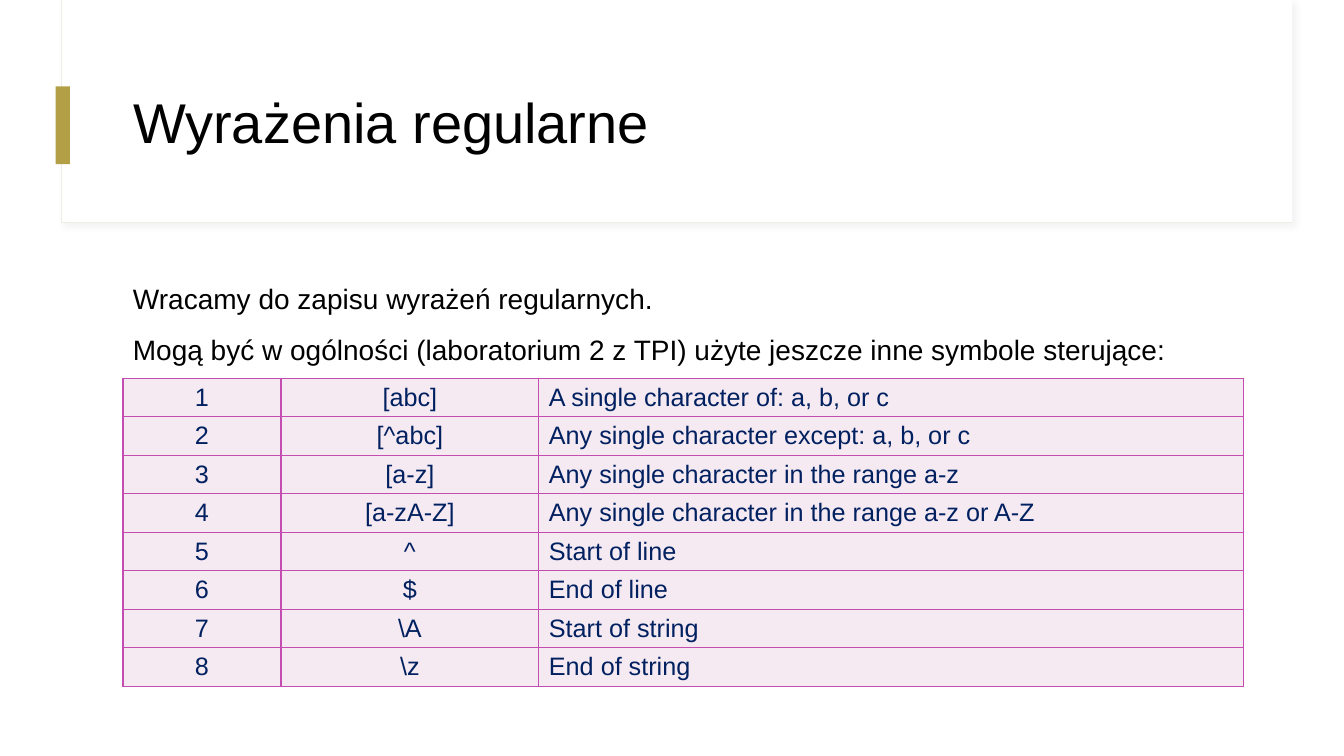
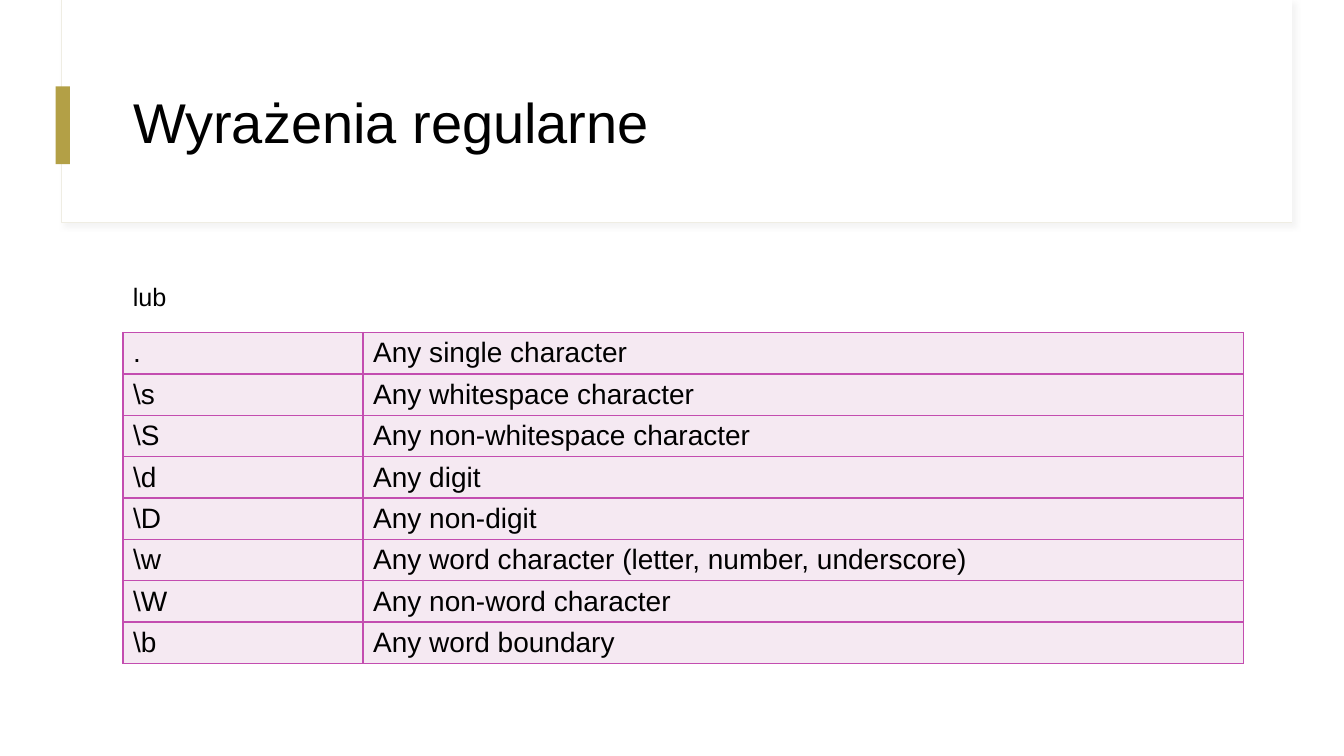
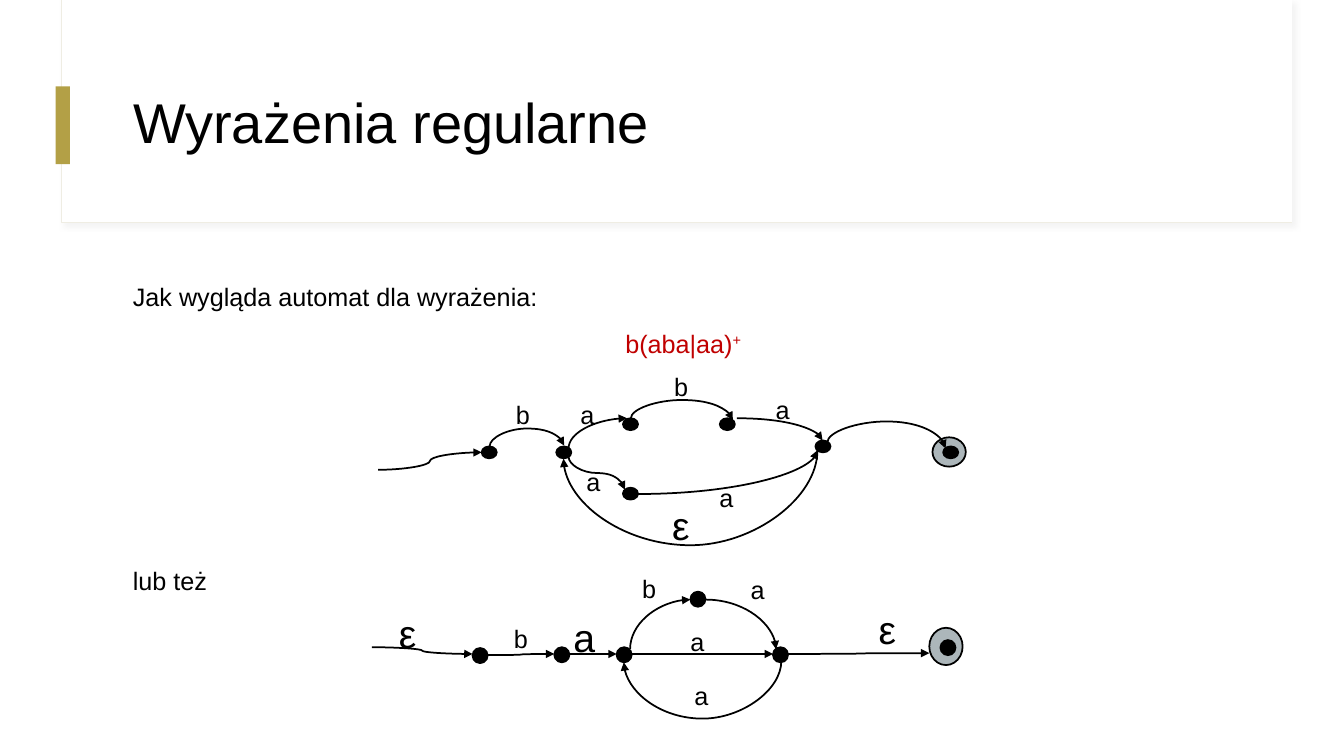
import dataclasses

import pptx
import pptx.dml.color
import pptx.enum.shapes
import pptx.enum.text
import pptx.oxml
import pptx.oxml.ns
import pptx.util

Cm = pptx.util.Cm
Pt = pptx.util.Pt
Align = pptx.enum.text.PP_ALIGN
Preset = pptx.enum.shapes.MSO_SHAPE
qn = pptx.oxml.ns.qn
DRAWING = 'xmlns:a="http://schemas.openxmlformats.org/drawingml/2006/main"'


@dataclasses.dataclass(frozen=True)
class Theme:
    font: str = "Arial"
    black: str = "000000"
    white: str = "FFFFFF"
    navy: str = "002060"
    red: str = "C00000"
    gold: str = "B3A046"
    frame: str = "EFEDE3"
    shadow: str = "D9D9D9"
    state: str = "ACB6BA"
    cell: str = "F5E9F2"
    border: str = "C34DB0"
    title: int = 40
    symbol: int = 28
    large: int = 20
    normal: int = 18


theme = Theme()


def write_run(paragraph, text, size, color):
    run = paragraph.add_run()
    run.text = text
    run.font.name = theme.font
    run.font.size = Pt(size)
    run.font.color.rgb = pptx.dml.color.RGBColor.from_string(color)
    return run


def add_solid(slide, preset, box, fill, line=None, line_width=1.25):
    """Add a flat shape; box is left, top, width and height in centimetres."""
    shape = slide.shapes.add_shape(preset, *(Cm(length) for length in box))
    shape.shadow.inherit = False
    shape.fill.solid()
    shape.fill.fore_color.rgb = pptx.dml.color.RGBColor.from_string(fill)
    if line:
        shape.line.color.rgb = pptx.dml.color.RGBColor.from_string(line)
        shape.line.width = Pt(line_width)
    else:
        shape.line.fill.background()
    return shape


presentation = pptx.Presentation()
presentation.slide_width = Cm(33.87)
presentation.slide_height = Cm(19.05)
layout = presentation.slide_layouts[5]
slides = [presentation.slides.add_slide(layout) for _ in range(3)]
symbols_slide, classes_slide, automaton_slide = slides

# Shared header: drawn once, then moved to the layout
frame = add_solid(symbols_slide, Preset.RECTANGLE, (1.55, 0, 31.01, 5.61),
                  theme.white, theme.frame, 0.75)
effects = frame._element.spPr.find(qn("a:effectLst"))
effects.append(pptx.oxml.parse_xml(
    f'<a:outerShdw {DRAWING} blurRad="{Pt(4)}" dist="{Pt(3)}" dir="2700000">'
    f'<a:srgbClr val="{theme.shadow}"><a:alpha val="30000"/></a:srgbClr></a:outerShdw>'))
panel = add_solid(symbols_slide, Preset.RECTANGLE, (1.57, 0, 30.99, 5.59), theme.white)
accent = add_solid(symbols_slide, Preset.RECTANGLE, (1.4, 2.18, 0.36, 1.96), theme.gold)
for position, shape in enumerate((frame, panel, accent), start=2):
    layout.shapes._spTree.insert(position, shape._element)

for slide in slides:
    title = slide.shapes.title
    title.left, title.top, title.width, title.height = Cm(3.1), Cm(1.52), Cm(28.24), Cm(3.28)
    title.text_frame.vertical_anchor = pptx.enum.text.MSO_ANCHOR.MIDDLE
    paragraph = title.text_frame.paragraphs[0]
    paragraph.alignment = Align.LEFT
    paragraph.line_spacing = 0.9
    write_run(paragraph, "Wyrażenia regularne", theme.title, theme.black)

# Tables: slide, top, row height, column widths, alignments, size, colour, rows
tables = [
    (symbols_slide, 9.53, 0.97, (3.98, 6.5, 17.76), (Align.CENTER, Align.CENTER, Align.LEFT),
     theme.normal, theme.navy, [
        ("1", "[abc]", "A single character of: a, b, or c"),
        ("2", "[^abc]", "Any single character except: a, b, or c"),
        ("3", "[a-z]", "Any single character in the range a-z"),
        ("4", "[a-zA-Z]", "Any single character in the range a-z or A-Z"),
        ("5", "^", "Start of line"),
        ("6", "$", "End of line"),
        ("7", "\\A", "Start of string"),
        ("8", "\\z", "End of string"),
    ]),
    (classes_slide, 8.38, 1.04, (6.05, 22.19), (Align.LEFT, Align.LEFT),
     theme.large, theme.black, [
        (".", "Any single character"),
        ("\\s", "Any whitespace character"),
        ("\\S", "Any non-whitespace character"),
        ("\\d", "Any digit"),
        ("\\D", "Any non-digit"),
        ("\\w", "Any word character (letter, number, underscore)"),
        ("\\W", "Any non-word character"),
        ("\\b", "Any word boundary"),
    ]),
]
for slide, top, row_height, widths, alignments, size, color, rows in tables:
    table = slide.shapes.add_table(len(rows), len(widths), Cm(3.1), Cm(top), Cm(sum(widths)),
                                   Cm(row_height * len(rows))).table
    table.first_row = table.horz_banding = False
    for column, width in zip(table.columns, widths):
        column.width = Cm(width)
    for row, texts in zip(table.rows, rows):
        row.height = Cm(row_height)
        for cell, text, alignment in zip(row.cells, texts, alignments):
            cell.vertical_anchor = pptx.enum.text.MSO_ANCHOR.MIDDLE
            for side in ("lnL", "lnR", "lnT", "lnB"):
                cell._tc.get_or_add_tcPr().append(pptx.oxml.parse_xml(
                    f'<a:{side} {DRAWING} w="{Pt(1)}"><a:solidFill>'
                    f'<a:srgbClr val="{theme.border}"/></a:solidFill></a:{side}>'))
            cell.fill.solid()
            cell.fill.fore_color.rgb = pptx.dml.color.RGBColor.from_string(theme.cell)
            paragraph = cell.text_frame.paragraphs[0]
            paragraph.alignment = alignment
            write_run(paragraph, text, size, color)

# Automaton states: accepting rings, then dots of the upper and lower diagram
for ring in ((23.5, 11.02, 0.84, 0.74), (23.42, 15.82, 0.84, 0.94)):
    add_solid(automaton_slide, Preset.FLOWCHART_CONNECTOR, ring, theme.state, theme.black)
upper_dots = [(12.14, 11.25), (14.02, 11.25), (15.7, 10.54), (15.7, 12.29),
              (18.14, 10.54), (20.55, 11.1), (23.77, 11.25)]
lower_dots = [(11.91, 16.33), (13.97, 16.31), (15.54, 16.31), (17.4, 14.91),
              (19.48, 16.31), (23.7, 16.13)]
for dots, dot_height in ((upper_dots, 0.3), (lower_dots, 0.38)):
    for left, top in dots:
        add_solid(automaton_slide, Preset.FLOWCHART_CONNECTOR, (left, top, 0.38, dot_height),
                  theme.black, theme.black)

# Transitions: route, start, end, and for a loop the height at which it turns.
# "across" and "corner" leave sideways, "rise" and "loop" leave vertically.
transitions = [
    ("across", 9.53, 11.84, 12.14, 11.4, None),
    ("loop", 12.34, 11.25, 14.22, 11.23, 10.8),
    ("rise", 14.33, 11.3, 15.8, 10.54, None),
    ("loop", 15.9, 10.54, 18.47, 10.59, 10.08),
    ("corner", 18.57, 10.54, 20.73, 11.1, None),
    ("loop", 14.33, 11.51, 15.75, 12.34, 11.92),
    ("corner", 16.08, 12.45, 20.6, 11.35, None),
    ("loop", 20.85, 11.15, 23.83, 11.3, 10.62),
    ("loop", 20.6, 11.35, 14.2, 11.56, 13.74),
    ("across", 9.37, 16.31, 11.91, 16.48, None),
    ("across", 12.29, 16.51, 13.97, 16.48, None),
    ("across", 14.35, 16.48, 15.54, 16.48, None),
    ("across", 15.93, 16.48, 19.48, 16.48, None),
    ("across", 19.86, 16.48, 23.42, 16.46, None),
    ("rise", 15.88, 16.36, 17.4, 15.11, None),
    ("loop", 19.69, 16.66, 15.72, 16.69, 18.11),
    ("corner", 17.78, 15.11, 19.56, 16.36, None),
]
for route, start_x, start_y, end_x, end_y, turn_y in transitions:
    across, down = end_x - start_x, end_y - start_y
    width, height = abs(across), abs(down)
    rotation, flip_horizontal, flip_vertical = 0, False, down < 0
    if route in ("rise", "loop"):
        width, height = height, width
        rotation = 270 if across > 0 and down > 0 else 90
        flip_horizontal = across > 0
        flip_vertical = across > 0 and down < 0
    left = (start_x + end_x - width) / 2
    top = (start_y + end_y - height) / 2
    connector = automaton_slide.shapes.add_connector(
        pptx.enum.shapes.MSO_CONNECTOR.CURVE,
        Cm(left), Cm(top), Cm(left + width), Cm(top + height))
    connector.line.color.rgb = pptx.dml.color.RGBColor.from_string(theme.black)
    connector.line.width = Pt(1.25)
    properties = connector._element.spPr
    transform = properties.find(qn("a:xfrm"))
    transform.set("rot", str(rotation * 60000))
    transform.set("flipH", str(int(flip_horizontal)))
    transform.set("flipV", str(int(flip_vertical)))
    geometry = properties.find(qn("a:prstGeom"))
    if route in ("corner", "rise"):
        geometry.set("prst", "curvedConnector2")
    if route == "loop":
        adjustment = round((turn_y - start_y) / down * 100000)
        geometry.find(qn("a:avLst")).append(pptx.oxml.parse_xml(
            f'<a:gd {DRAWING} name="adj1" fmla="val {adjustment}"/>'))
    properties.find(qn("a:ln")).append(pptx.oxml.parse_xml(f'<a:tailEnd {DRAWING} type="triangle"/>'))
    properties.append(pptx.oxml.parse_xml(f"<a:effectLst {DRAWING}/>"))

# Text boxes: slide, box, size, line spacing, paragraphs of (alignment, runs)
text_boxes = [
    (symbols_slide, (3.1, 6.88, 28.24, 2.6), theme.large, 1.1, [
        (Align.JUSTIFY, [("Wracamy do zapisu wyrażeń regularnych.", theme.black)]),
        (Align.JUSTIFY, [("Mogą być w ogólności (laboratorium 2 z TPI) użyte jeszcze inne "
                          "symbole sterujące:", theme.black)]),
    ]),
    (classes_slide, (3.1, 6.88, 28.24, 1.2), theme.normal, 1.1,
     [(Align.LEFT, [("lub", theme.black)])]),
    (automaton_slide, (3.1, 6.88, 28.24, 2.4), theme.normal, 1.1, [
        (Align.JUSTIFY, [("Jak wygląda automat dla wyrażenia:", theme.black)]),
        (Align.CENTER, [("b(aba|aa)", theme.red), ("+", theme.red)]),
    ]),
    (automaton_slide, (3.1, 14.05, 5, 1.2), theme.normal, 1.1,
     [(Align.LEFT, [("lub też", theme.black)])]),
]
labels = [
    ("b", 12.75, 9.93), ("a", 14.38, 9.93), ("b", 16.74, 9.22), ("a", 19.3, 9.8),
    ("a", 14.53, 11.63), ("a", 17.88, 12.04), ("b", 15.93, 14.33), ("a", 18.67, 14.35),
    ("b", 12.7, 15.57), ("a", 17.15, 15.65), ("a", 17.25, 17.02),
]
symbol_labels = [("ε", 16.69, 12.5), ("ε", 9.8, 15.24), ("a", 14.2, 15.32), ("ε", 21.89, 15.14)]
for group, size, width, height in ((labels, theme.normal, 0.89, 0.99),
                                   (symbol_labels, theme.symbol, 1.52, 1.42)):
    for text, left, top in group:
        text_boxes.append((automaton_slide, (left, top, width, height), size, 1.0,
                           [(Align.LEFT, [(text, theme.black)])]))

for slide, box, size, line_spacing, paragraphs in text_boxes:
    text_frame = slide.shapes.add_textbox(*(Cm(length) for length in box)).text_frame
    text_frame.word_wrap = True
    for index, (alignment, runs) in enumerate(paragraphs):
        paragraph = text_frame.add_paragraph() if index else text_frame.paragraphs[0]
        paragraph.alignment = alignment
        paragraph.line_spacing = line_spacing
        if index:
            paragraph.space_before = Pt(10)
        for text, color in runs:
            run = write_run(paragraph, text, size, color)
            if text == "+":
                run.font._element.set("baseline", "30000")

presentation.save("out.pptx")
